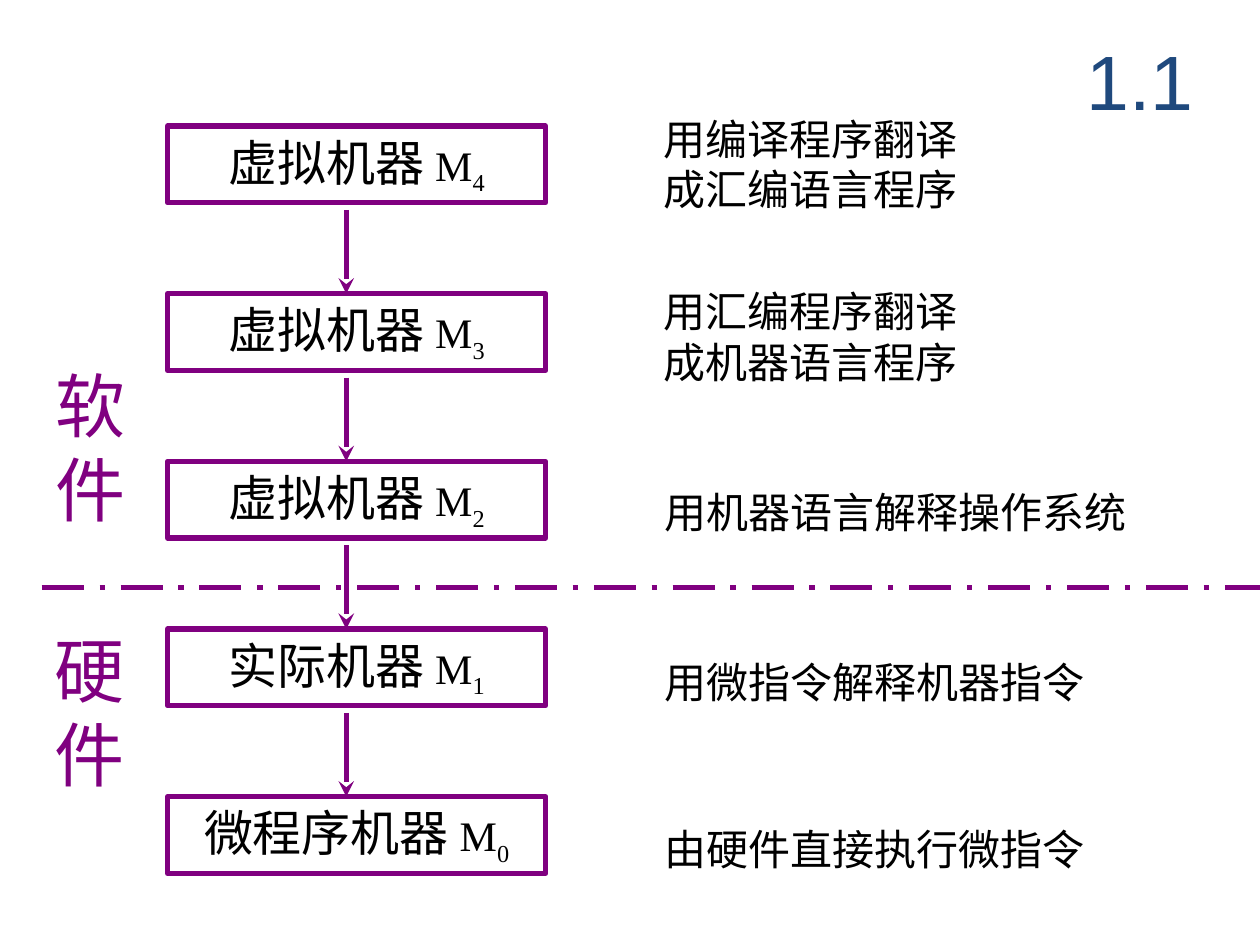
from lxml import etree
from pptx import Presentation
from pptx.dml.color import RGBColor
from pptx.enum.dml import MSO_LINE
from pptx.enum.shapes import MSO_CONNECTOR, MSO_SHAPE
from pptx.enum.text import MSO_ANCHOR, PP_ALIGN
from pptx.oxml.ns import qn
from pptx.util import Cm, Pt

CENTER = PP_ALIGN.CENTER
MIDDLE, TOP = MSO_ANCHOR.MIDDLE, MSO_ANCHOR.TOP
RECTANGLE, STRAIGHT = MSO_SHAPE.RECTANGLE, MSO_CONNECTOR.STRAIGHT
DASH_DOT = MSO_LINE.LONG_DASH_DOT

PURPLE = RGBColor(0x80, 0x00, 0x80)
BLUE = RGBColor(0x1F, 0x49, 0x7D)
BLACK = RGBColor(0x00, 0x00, 0x00)

SECTION = "1.1"
# machine name, level number
MACHINES = [
    ("虚拟机器", 4),
    ("虚拟机器", 3),
    ("虚拟机器", 2),
    ("实际机器", 1),
    ("微程序机器", 0),
]
# lines, left, top, in cm
EXPLANATIONS = [
    (["用编译程序翻译", "成汇编语言程序"], 13.13, 2.16),
    (["用汇编程序翻译", "成机器语言程序"], 13.13, 5.64),
    (["用机器语言解释操作系统"], 13.15, 9.68),
    (["用微指令解释机器指令"], 13.15, 13.11),
    (["由硬件直接执行微指令"], 13.15, 16.48),
]
LAYERS = [
    (["软", "件"], 0.86, 7.19),
    (["硬", "件"], 0.84, 12.52),
]

SLIDE_WIDTH, SLIDE_HEIGHT = 25.4, 19.05
BOX_LEFT, BOX_TOP, BOX_WIDTH, BOX_HEIGHT = 3.38, 2.54, 7.62, 1.55
BOX_PITCH = 3.38
ARROW_X, ARROW_LENGTH = 6.98, 1.69
DIVIDER_LEFT, DIVIDER_Y = 0.84, 11.84
LINE_WIDTH = Pt(3)
INSET_X, INSET_Y = 0.25, 0.13


def style_run(run, size, color, font="Calibri"):
    run.font.size = Pt(size)
    run.font.name = font
    run.font.color.rgb = color


def add_lines(slide, lines, left, top, size, color):
    """Place a text box just large enough for full-width characters."""
    em = Pt(size).cm
    width = len(lines[0]) * em + 2 * INSET_X
    height = len(lines) * em * 1.2 + 2 * INSET_Y
    frame = slide.shapes.add_textbox(Cm(left), Cm(top), Cm(width), Cm(height)).text_frame
    frame.word_wrap = False
    frame.text = "\n".join(lines)
    for paragraph in frame.paragraphs:
        paragraph.alignment = CENTER
        style_run(paragraph.runs[0], size, color)


def add_machine(slide, name, level, top):
    box = slide.shapes.add_shape(
        RECTANGLE, Cm(BOX_LEFT), Cm(top), Cm(BOX_WIDTH), Cm(BOX_HEIGHT))
    box.shadow.inherit = False
    box.fill.background()
    box.line.color.rgb = PURPLE
    box.line.width = LINE_WIDTH
    frame = box.text_frame
    frame.vertical_anchor = TOP
    paragraph = frame.paragraphs[0]
    paragraph.alignment = CENTER
    for text, size, font in [(name + " ", 28, "Calibri"),
                             ("M", 24, "Times New Roman"),
                             (str(level), 24, "Times New Roman")]:
        run = paragraph.add_run()
        run.text = text
        style_run(run, size, BLACK, font)
    run.font._element.set("baseline", "-25000")


def add_line(slide, x1, y1, x2, y2):
    line = slide.shapes.add_connector(STRAIGHT, Cm(x1), Cm(y1), Cm(x2), Cm(y2))
    line.line.color.rgb = PURPLE
    line.line.width = LINE_WIDTH
    etree.SubElement(line._element.spPr, qn("a:effectLst"))
    return line


def add_section(slide):
    frame = slide.shapes.add_textbox(Cm(21.39), Cm(0.43), Cm(3.18), Cm(2.34)).text_frame
    frame.word_wrap = True
    frame.vertical_anchor = MIDDLE
    frame.text = SECTION
    frame.paragraphs[0].alignment = CENTER
    style_run(frame.paragraphs[0].runs[0], 44, BLUE, "Arial")


def main():
    deck = Presentation()
    deck.slide_width, deck.slide_height = Cm(SLIDE_WIDTH), Cm(SLIDE_HEIGHT)
    slide = deck.slides.add_slide(deck.slide_layouts[6])

    for lines, left, top in EXPLANATIONS:
        add_lines(slide, lines, left, top, 24, BLACK)

    divider = add_line(slide, DIVIDER_LEFT, DIVIDER_Y, SLIDE_WIDTH, DIVIDER_Y)
    divider.line.dash_style = DASH_DOT
    for lines, left, top in LAYERS:
        add_lines(slide, lines, left, top, 40, PURPLE)
    add_section(slide)

    tops = [BOX_TOP + i * BOX_PITCH for i in range(len(MACHINES))]
    for (name, level), top in zip(MACHINES, tops):
        add_machine(slide, name, level, top)
    for next_top in tops[1:]:
        arrow = add_line(slide, ARROW_X, next_top - ARROW_LENGTH, ARROW_X, next_top)
        etree.SubElement(arrow.line._get_or_add_ln(), qn("a:tailEnd"), type="stealth")

    deck.save("out.pptx")


if __name__ == "__main__":
    main()
